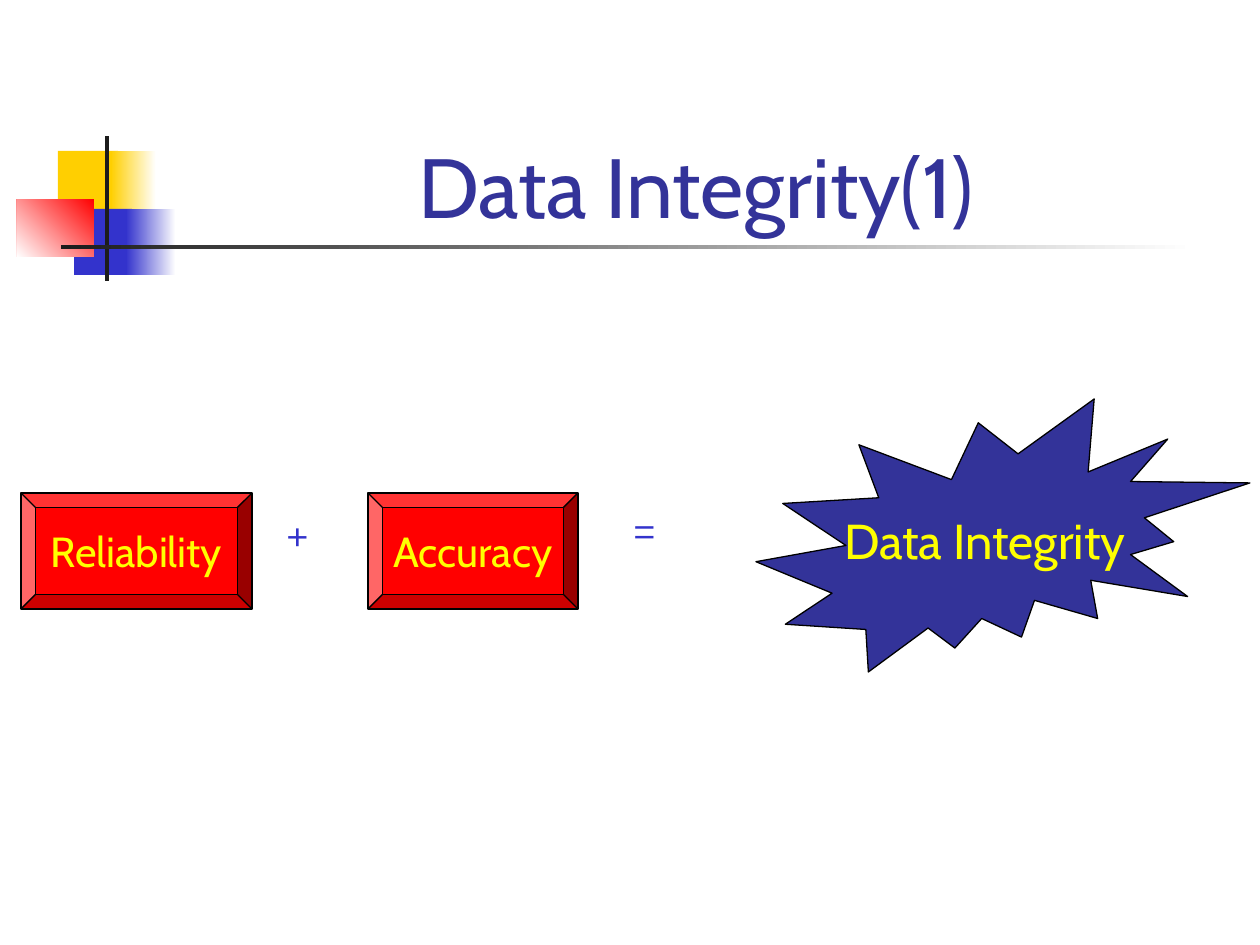
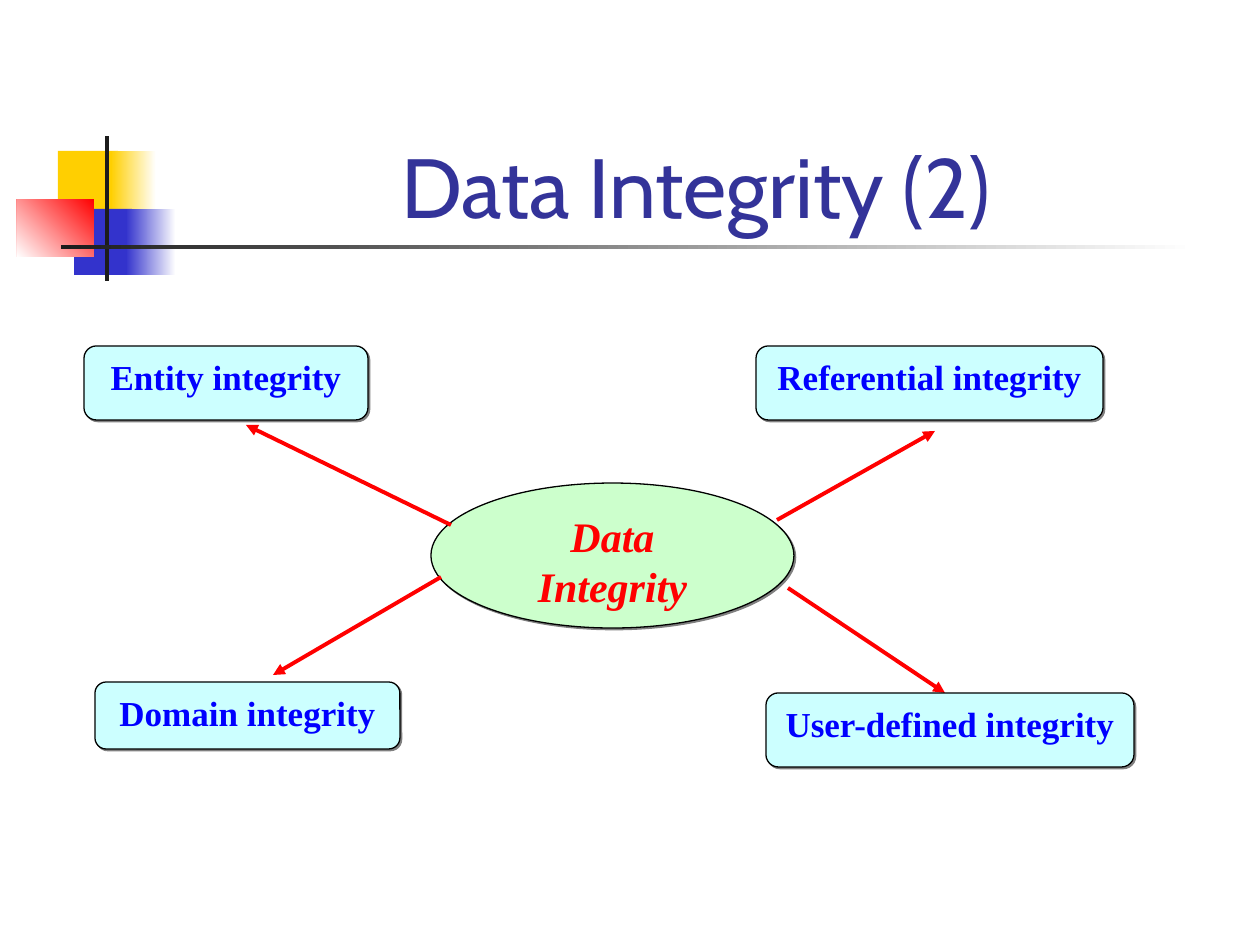
from lxml import etree
from pptx import Presentation
from pptx.dml.color import RGBColor
from pptx.enum.shapes import MSO_CONNECTOR, MSO_SHAPE as SHAPE
from pptx.enum.text import MSO_ANCHOR as ANCHOR, MSO_AUTO_SIZE, PP_ALIGN as ALIGN
from pptx.oxml.ns import qn
from pptx.util import Pt

# Shared look
PX = 914400 / 126
BLACK, RED, YELLOW, WHITE = "000000", "FF0000", "FFFF00", "FFFFFF"
INDIGO, BLUE, GOLD, CHARCOAL = "333399", "3333CC", "FFCF01", "1C1C1C"
SANS, SERIF, SIGN_FONT = "Cabin", "Times New Roman", "Montserrat"
TITLE_BOX = (159, 84, 1074, 158)
# Box, colour or (start, end, anticlockwise angle)
ORNAMENT = [
    ((58, 151, 60, 66), GOLD),
    ((111, 151, 45, 66), (WHITE, GOLD, 180)),
    ((74, 209, 58, 66), BLUE),
    ((126, 209, 50, 66), (WHITE, BLUE, 180)),
    ((17, 199, 77, 58), (RED, WHITE, 225)),
    ((105, 136, 4, 145), CHARCOAL),
    ((61, 245, 1134, 4), (WHITE, CHARCOAL, 180)),
]

# Slide 1: terms of the equation and the signs between them
EQUATION_TITLE = "Data Integrity(1)"
TERMS = [
    ("Data Integrity", SHAPE.EXPLOSION2, (756, 399, 494, 273), INDIGO, 28),
    ("Reliability", SHAPE.BEVEL, (21, 493, 231, 116), RED, 24),
    ("Accuracy", SHAPE.BEVEL, (368, 493, 210, 116), RED, 24),
]
SIGNS = [("+", (273, 504, 63, 89)), ("=", (620, 499, 95, 89))]

# Slide 2: hub, and each kind with its box and its arrow
KINDS_TITLE = "Data Integrity (2)"
HUB = ("Data Integrity", (431, 483, 363, 145))
KINDS = [
    ("Referential integrity", (756, 346, 347, 74), (777, 520, 935, 431)),
    ("User-defined integrity", (766, 693, 368, 74), (788, 588, 945, 693)),
    ("Domain integrity", (95, 682, 305, 67), (441, 577, 273, 675)),
    ("Entity integrity", (84, 346, 284, 74), (451, 525, 246, 425)),
]


def px(lengths):
    return [round(length * PX) for length in lengths]


def color(value):
    return RGBColor.from_string(value)


def add_xml(parent, tag, **attributes):
    return etree.SubElement(parent, qn(tag), attributes)


def add_outline(run, value):
    outline = etree.Element(qn("a:ln"), w=str(Pt(1)))
    add_xml(add_xml(outline, "a:solidFill"), "a:srgbClr", val=value)
    run.font._element.insert(0, outline)


def write(shape, words, font, size, ink, anchor=ANCHOR.MIDDLE, align=ALIGN.CENTER,
          wrap=True, bold=None, italic=None):
    frame = shape.text_frame
    frame.word_wrap, frame.vertical_anchor = wrap, anchor
    frame.auto_size = MSO_AUTO_SIZE.NONE
    paragraph = frame.paragraphs[0]
    paragraph.alignment = align
    run = paragraph.add_run()
    run.text = words
    run.font.name, run.font.size = font, Pt(size)
    run.font.bold, run.font.italic = bold, italic
    run.font.color.rgb = color(ink)
    return run


def add_block(slide, kind, box, fill, line=BLACK):
    block = slide.shapes.add_shape(kind, *px(box))
    block.shadow.inherit = False
    if isinstance(fill, tuple):
        *ends, angle = fill
        block.fill.gradient()
        block.fill.gradient_angle = angle
        for stop, end in zip(block.fill.gradient_stops, ends):
            stop.color.rgb = color(end)
    else:
        block.fill.solid()
        block.fill.fore_color.rgb = color(fill)
    if line:
        block.line.color.rgb = color(line)
        block.line.width = Pt(0.75)
    else:
        block.line.fill.background()
    return block


def add_shadowed(slide, kind, box, fill):
    block = add_block(slide, kind, box, fill)
    effects = block._element.spPr.find(qn("a:effectLst"))
    shadow = add_xml(effects, "a:outerShdw", dist=str(Pt(1.4)), dir="2700000")
    add_xml(shadow, "a:srgbClr", val="808080")
    return block


def add_arrow(slide, ends):
    arrow = slide.shapes.add_connector(MSO_CONNECTOR.STRAIGHT, *px(ends))
    arrow.line.color.rgb = color(RED)
    arrow.line.width = Pt(2.25)
    add_xml(arrow.line._ln, "a:tailEnd", type="triangle")
    add_xml(arrow._element.spPr, "a:effectLst")


def add_titled_slide(title):
    slide = deck.slides.add_slide(layout)
    heading = slide.shapes.title
    heading.left, heading.top, heading.width, heading.height = px(TITLE_BOX)
    write(heading, title, SANS, 48, INDIGO, ANCHOR.BOTTOM)
    return slide


deck = Presentation()
deck.slide_width, deck.slide_height = px((1260, 945))
layout = deck.slide_layouts[5]

# Slide 1
equation = add_titled_slide(EQUATION_TITLE)

# Ornament, moved to the layout behind its placeholders
for order, (box, fill) in enumerate(ORNAMENT):
    piece = add_block(equation, SHAPE.RECTANGLE, box, fill, line=None)._element
    piece.nvSpPr.cNvPr.set("id", str(101 + order))
    layout.shapes._spTree.insert(2 + order, piece)

for words, kind, box, fill, size in TERMS:
    write(add_block(equation, kind, box, fill), words, SANS, size, YELLOW, wrap=False)
for sign, box in SIGNS:
    run = write(equation.shapes.add_textbox(*px(box)), sign, SIGN_FONT, 24, "B2B2B2",
                ANCHOR.TOP, ALIGN.LEFT, wrap=False)
    tint = run.font._element.find(".//" + qn("a:srgbClr"))
    add_xml(tint, "a:alpha", val="50000")
    add_outline(run, BLUE)

# Slide 2
kinds = add_titled_slide(KINDS_TITLE)
hub_words, hub_box = HUB
write(add_shadowed(kinds, SHAPE.OVAL, hub_box, "CCFFCC"), hub_words, SERIF, 24, RED,
      ANCHOR.TOP, bold=True, italic=True)
for words, box, ends in KINDS:
    add_arrow(kinds, ends)
    write(add_shadowed(kinds, SHAPE.ROUNDED_RECTANGLE, box, "CCFFFF"), words, SERIF, 20,
          "0000FF", ANCHOR.TOP, bold=True)

deck.save("out.pptx")
